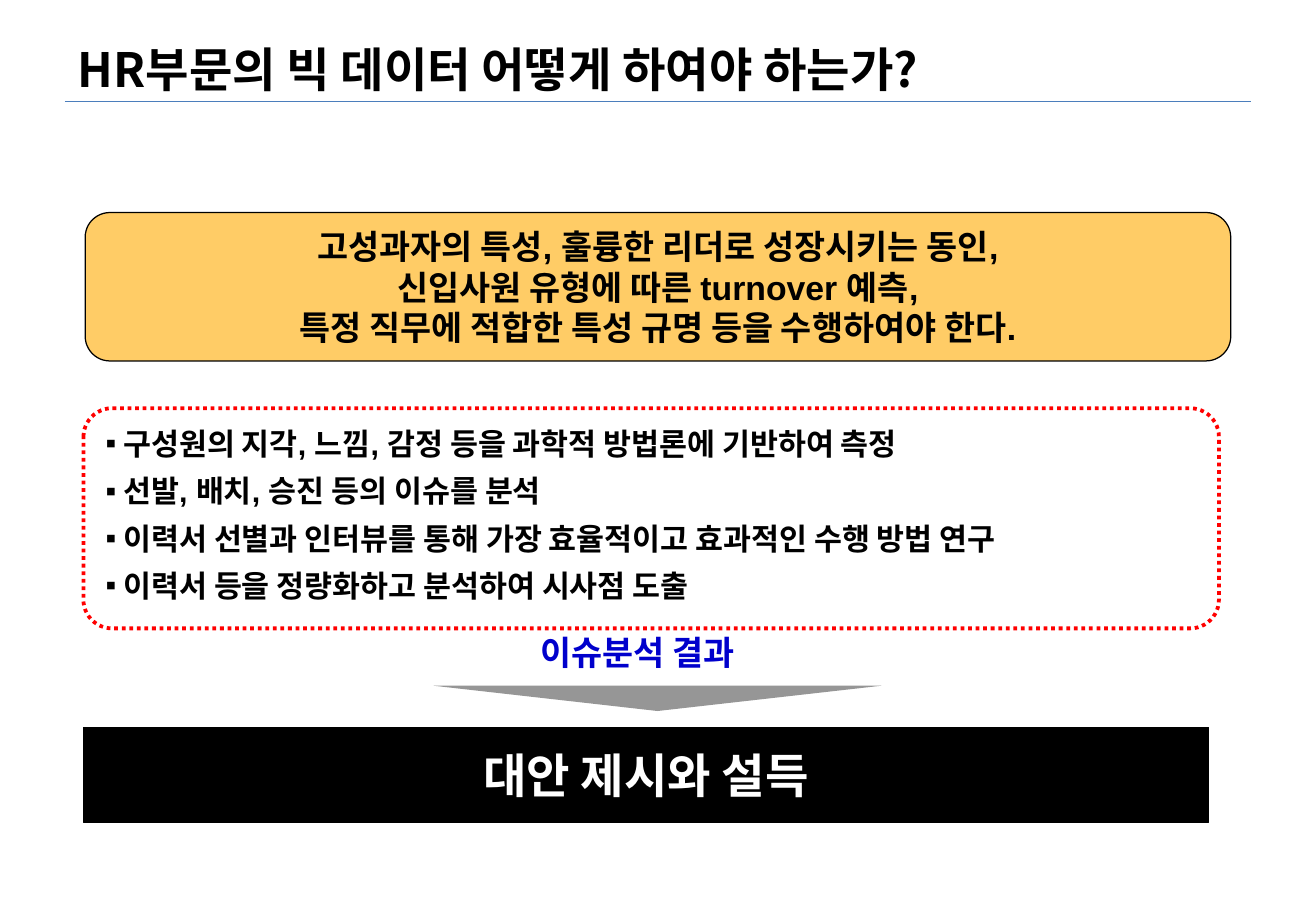
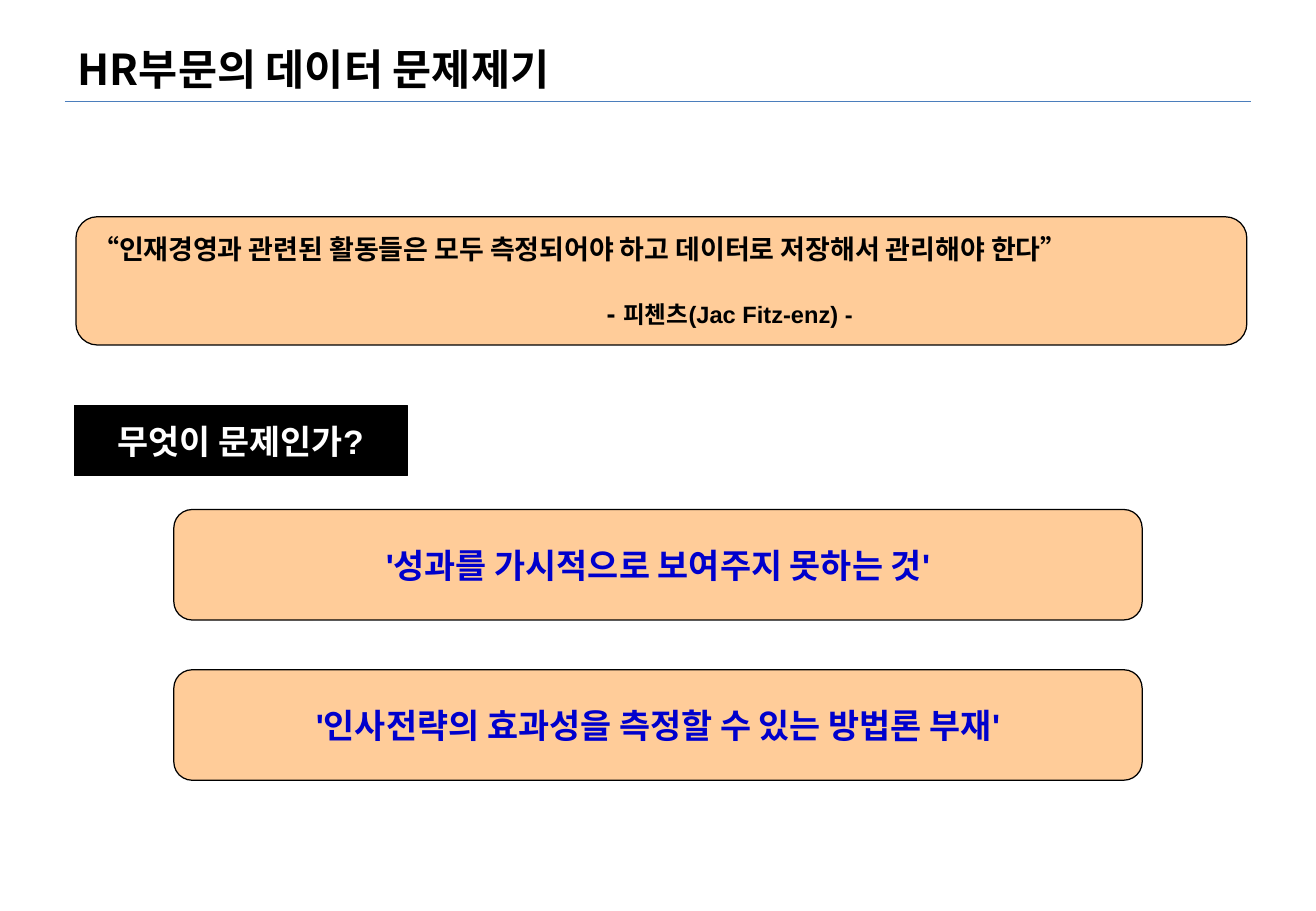
import pptx
import pptx.util
import pptx.dml.color
import pptx.enum.dml
import pptx.enum.shapes
import pptx.enum.text
import pptx.oxml.ns
from lxml import etree

Pt = pptx.util.Pt
SHAPE = pptx.enum.shapes.MSO_SHAPE
ALIGN = pptx.enum.text.PP_ALIGN
ANCHOR = pptx.enum.text.MSO_ANCHOR
qn = pptx.oxml.ns.qn

BLACK, WHITE, BLUE = "000000", "FFFFFF", "0000CC"
GOLD, PEACH, RED, GRAY, RULE = "FFCC66", "FFCC99", "FF0000", "969696", "4B7EBC"
BODY_FONT, TITLE_FONT = "Arial", "Noto Sans CJK KR"


def color(value):
    return pptx.dml.color.RGBColor.from_string(value)


def add_run(p, text, size, ink=BLACK, font=BODY_FONT):
    r = p.add_run()
    r.text = text
    r.font.size = Pt(size)
    r.font.bold = True
    r.font.name = font
    r.font.color.rgb = color(ink)
    etree.SubElement(r.font._element, qn("a:ea"), typeface=TITLE_FONT)


def add_lines(tf, lines, size, ink=BLACK, align=ALIGN.LEFT, font=BODY_FONT):
    for i, line in enumerate(lines):
        p = tf.add_paragraph() if i else tf.paragraphs[0]
        p.alignment = align
        add_run(p, line, size, ink, font)


def add_text(s, box, lines, size, ink=BLACK, anchor=ANCHOR.TOP, wrap=True, font=BODY_FONT):
    tf = s.shapes.add_textbox(*map(Pt, box)).text_frame
    tf.word_wrap = wrap
    tf.vertical_anchor = anchor
    add_lines(tf, lines, size, ink, font=font)
    return tf


def add_box(s, kind, box, fill=None, line=BLACK, width=0.75, adj=None):
    sp = s.shapes.add_shape(kind, *map(Pt, box))
    sp.shadow.inherit = False
    if adj is not None:
        sp.adjustments[0] = adj
    if fill:
        sp.fill.solid()
        sp.fill.fore_color.rgb = color(fill)
    else:
        sp.fill.background()
    if line:
        sp.line.color.rgb = color(line)
        sp.line.width = Pt(width)
    else:
        sp.line.fill.background()
    return sp


def add_label(s, kind, box, fill, lines, size, ink):
    sp = add_box(s, kind, box, fill)
    tf = sp.text_frame
    tf.word_wrap = False
    tf.vertical_anchor = ANCHOR.MIDDLE
    add_lines(tf, lines, size, ink, ALIGN.CENTER)


def set_indent(p, left, first=0):
    pPr = p._p.get_or_add_pPr()
    pPr.set("marL", str(Pt(left)))
    pPr.set("indent", str(Pt(first)))
    return pPr


def add_bullets(s, box, lines, size):
    tf = add_text(s, box, lines, size, anchor=ANCHOR.MIDDLE)
    for p in tf.paragraphs:
        p.line_spacing = 1.3
        pPr = set_indent(p, 10.5, -10.5)
        etree.SubElement(pPr, qn("a:buFont"), typeface=BODY_FONT)
        etree.SubElement(pPr, qn("a:buChar"), char="▪")


def add_slide(prs, title, size):
    s = prs.slides.add_slide(prs.slide_layouts[6])
    rule = s.shapes.add_connector(
        pptx.enum.shapes.MSO_CONNECTOR.STRAIGHT, Pt(38.5), Pt(60.3), Pt(741.5), Pt(60.3))
    rule.line.color.rgb = color(RULE)
    rule.line.width = Pt(0.75)
    etree.SubElement(rule._element.spPr, qn("a:effectLst"))
    add_text(s, (39, 21.6, 702, 38.5), [title], size, anchor=ANCHOR.MIDDLE, font=TITLE_FONT)
    return s


def build_approach(prs):
    s = add_slide(prs, "HR부문의 빅 데이터 어떻게 하여야 하는가?", 28)
    add_bullets(s, (55.5, 242, 669, 119.5), [
        "구성원의 지각, 느낌, 감정 등을 과학적 방법론에 기반하여 측정",
        "선발, 배치, 승진 등의 이슈를 분석",
        "이력서 선별과 인터뷰를 통해 가장 효율적이고 효과적인 수행 방법 연구",
        "이력서 등을 정량화하고 분석하여 시사점 도출",
    ], 18)
    add_label(s, SHAPE.ROUNDED_RECTANGLE, (50.5, 126, 679, 88), GOLD, [
        "고성과자의 특성, 훌륭한 리더로 성장시키는 동인,",
        "신입사원 유형에 따른 turnover 예측,",
        "특정 직무에 적합한 특성 규명 등을 수행하여야 한다.",
    ], 20, BLACK)
    frame = add_box(s, SHAPE.ROUNDED_RECTANGLE, (49.5, 242, 673, 130.5), None, RED, 2.25, 0.13)
    frame.line.dash_style = pptx.enum.dml.MSO_LINE.ROUND_DOT
    add_label(s, SHAPE.RECTANGLE, (49.5, 431, 667, 56.5), BLACK, ["대안 제시와 설득"], 28, WHITE)
    arrow = add_box(s, SHAPE.ISOSCELES_TRIANGLE, (257, 406.5, 265.5, 15), GRAY, None)
    arrow._element.spPr.xfrm.set("flipV", "1")
    add_text(s, (313, 371, 142.5, 31.5), ["이슈분석 결과"], 20, BLUE, wrap=False)


def build_problem(prs):
    s = add_slide(prs, "HR부문의 데이터 문제제기", 25.2)
    add_box(s, SHAPE.ROUNDED_RECTANGLE, (45, 128.5, 694, 76), PEACH)
    tf = add_text(s, (47.5, 134, 702, 65), [
        "“인재경영과 관련된 활동들은 모두 측정되어야 하고 데이터로 저장해서 관리해야 한다”"], 16)
    p = tf.add_paragraph()
    p.space_before = Pt(19)
    set_indent(p, 305)
    add_run(p, "- ", 16)
    add_run(p, "피첸츠(Jac Fitz-enz) -", 14)
    add_label(s, SHAPE.RECTANGLE, (44, 240.5, 197.5, 41.5), BLACK, ["무엇이 문제인가?"], 20, WHITE)
    problems = ["'성과를 가시적으로 보여주지 못하는 것'",
                "'인사전략의 효과성을 측정할 수 있는 방법론 부재'"]
    for i, problem in enumerate(problems):
        add_label(s, SHAPE.ROUNDED_RECTANGLE, (103, 302 + 95 * i, 574, 65.5),
                  PEACH, [problem], 20, BLUE)


def main():
    prs = pptx.Presentation()
    prs.slide_width, prs.slide_height = Pt(780), Pt(540)
    build_approach(prs)
    build_problem(prs)
    prs.save("out.pptx")


main()
